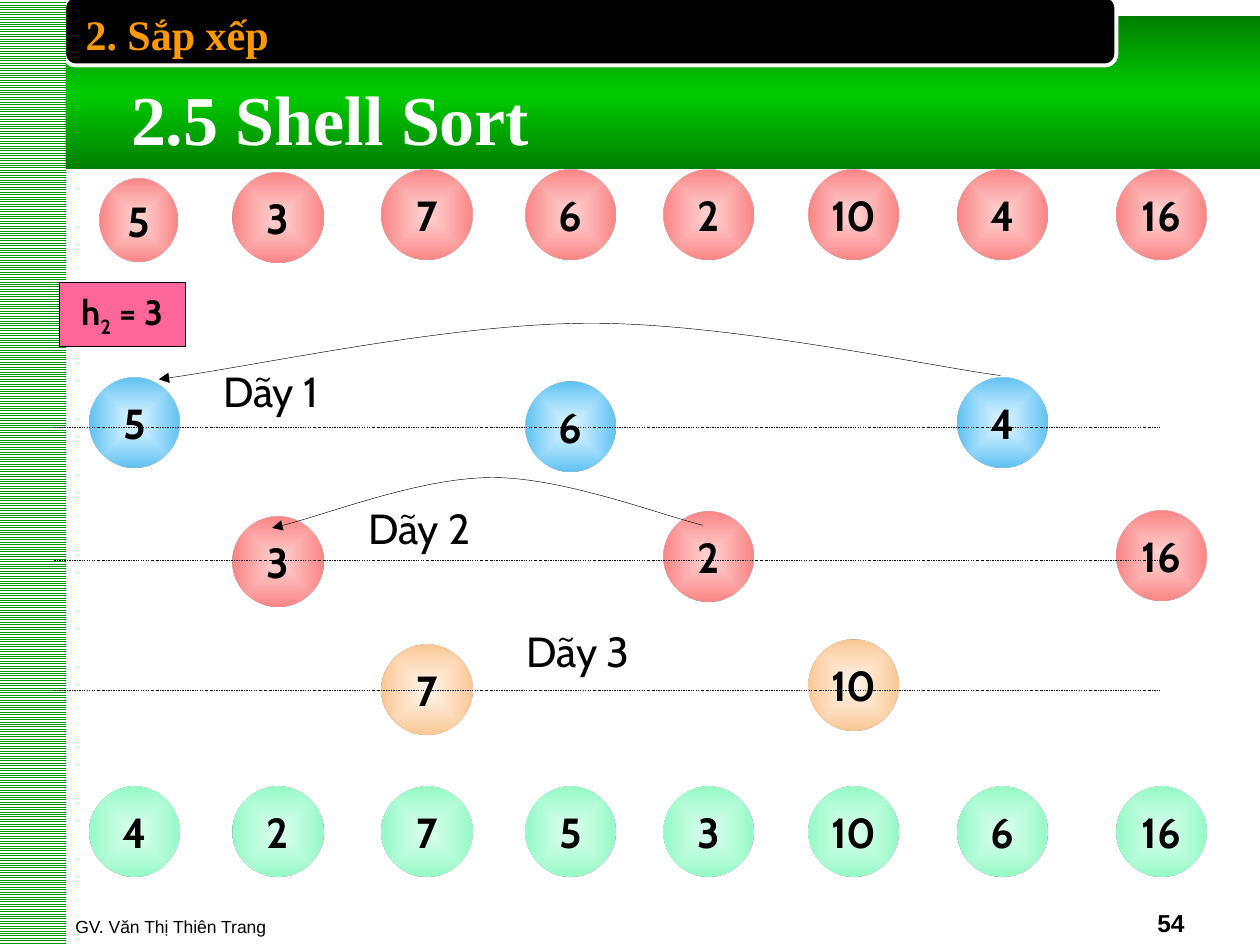
from lxml.etree import SubElement
from pptx import Presentation
from pptx.dml.color import RGBColor
from pptx.enum.dml import MSO_LINE, MSO_PATTERN
from pptx.enum.shapes import MSO_CONNECTOR, MSO_SHAPE
from pptx.enum.text import MSO_ANCHOR, MSO_AUTO_SIZE, PP_ALIGN
from pptx.oxml import parse_xml
from pptx.oxml.ns import nsdecls, qn
from pptx.util import Pt

# Left edges of the eight array positions
COLUMNS = [51.1, 133.2, 218.2, 300.2, 379.4, 462.2, 547.2, 637.9]
DIAMETER = 51.4

# Ball styles: centre colour, centre opacity in percent, edge colour, outline
BLUE = ("66CCFF", 17, "61C2F2", None)
RED = ("FF8989", 35, "FA8686", None)
ORANGE = ("FFCC99", 17, "FAC896", "FFC489")
GREEN = ("99FFCC", 32, "96FAC8", None)

# Each row: style, then (column, value, top) for every ball
SUBSEQUENCES = [
    (BLUE, [(0, 5, 216), (3, 6, 218.2), (6, 4, 216)]),
    (RED, [(1, 3, 295.2), (4, 2, 292.3), (7, 16, 291.6)]),
    (ORANGE, [(2, 7, 368.6), (5, 10, 365.8)]),
]
START_TAIL = [3, 7, 6, 2, 10, 4, 16]
RESULT = [4, 2, 7, 5, 3, 10, 6, 16]

GUIDE_LINES = [244.1, 320.4, 394.6]
LABELS = [("Dãy 1", 116.6, 205.2), ("Dãy 2", 201.6, 283.7), ("Dãy 3", 292.3, 354.2)]

# Swap arrows: a start point, then three points for each Bézier segment
SWAPS = [
    [(571.7, 214.6), (532.1, 209.5), (416.2, 184.3), (336.2, 184.7),
     (256.3, 185), (141.8, 210.2), (90.7, 216.7)],
    [(401.8, 300.2), (380.2, 295.2), (322.6, 272.9), (281.5, 272.9),
     (240.5, 272.9), (182.2, 295.9), (155.5, 301.7)],
]


def color(value):
    return RGBColor.from_string(value)


def set_line(shape, value, width=0.25):
    if value is None:
        shape.line.fill.background()
    else:
        shape.line.color.rgb = color(value)
        shape.line.width = Pt(width)


def set_gradient(shape, stops, direction):
    """Fill with (position, colour, opacity) stops, all in percent."""
    stop_xml = "".join(
        f'<a:gs pos="{position * 1000}"><a:srgbClr val="{value}">'
        f'<a:alpha val="{opacity * 1000}"/></a:srgbClr></a:gs>'
        for position, value, opacity in stops)
    gradient = parse_xml(f'<a:gradFill {nsdecls("a")} rotWithShape="1">'
                         f'<a:gsLst>{stop_xml}</a:gsLst>{direction}</a:gradFill>')
    shape.fill.background()
    properties = shape.element.spPr
    properties.replace(properties.find(qn("a:noFill")), gradient)


def set_text(shape, text, size, font, value="000000", bold=False,
             align=PP_ALIGN.LEFT, anchor=MSO_ANCHOR.TOP, wrap=False):
    frame = shape.text_frame
    frame.text = text
    frame.word_wrap = wrap
    frame.vertical_anchor = anchor
    paragraph = frame.paragraphs[0]
    paragraph.alignment = align
    for run in paragraph.runs:
        format_run(run, size, font, value, bold)


def format_run(run, size, font, value, bold):
    run.font.size = Pt(size)
    run.font.name = font
    run.font.bold = bold
    run.font.color.rgb = color(value)


def add_shape(slide, kind, left, top, width, height):
    shape = slide.shapes.add_shape(kind, Pt(left), Pt(top), Pt(width), Pt(height))
    shape.shadow.inherit = False
    set_line(shape, None)
    return shape


def add_text(slide, box, text, size, font, **options):
    shape = slide.shapes.add_textbox(*(Pt(length) for length in box))
    set_text(shape, text, size, font, **options)
    return shape


def add_ball(slide, style, value, left, top, width=DIAMETER, height=DIAMETER):
    center, opacity, edge, outline = style
    ball = add_shape(slide, MSO_SHAPE.OVAL, left, top, width, height)
    set_gradient(ball, [(0, center, opacity), (100, edge, 100)],
                 '<a:path path="shape"><a:fillToRect l="50000" t="50000" '
                 'r="50000" b="50000"/></a:path>')
    set_line(ball, outline)
    set_text(ball, str(value), 24, "Cabin", bold=True,
             align=PP_ALIGN.CENTER, anchor=MSO_ANCHOR.MIDDLE)


def add_guide_line(slide, y):
    line = slide.shapes.add_connector(MSO_CONNECTOR.STRAIGHT, Pt(31), Pt(y), Pt(663.1), Pt(y))
    set_line(line, "000000")
    line.line.dash_style = MSO_LINE.DASH_DOT
    SubElement(line.element.spPr, qn("a:effectLst"))


def add_swap_arrow(slide, points):
    start, *rest = [(Pt(x), Pt(y)) for x, y in points]
    builder = slide.shapes.build_freeform(*start)
    builder.add_line_segments(rest, close=False)
    arrow = builder.convert_to_shape()
    arrow.shadow.inherit = False
    arrow.fill.background()
    set_line(arrow, "000000")
    SubElement(arrow.line._get_or_add_ln(), qn("a:tailEnd"), type="triangle")
    # Turn every three straight segments into one Bézier curve
    path = arrow.element.spPr.find(".//" + qn("a:path"))
    segments = path.findall(qn("a:lnTo"))
    for index in range(0, len(segments), 3):
        curve = SubElement(path, qn("a:cubicBezTo"))
        for segment in segments[index:index + 3]:
            curve.append(segment[0])
            path.remove(segment)


def add_background(slide):
    banner = add_shape(slide, MSO_SHAPE.RECTANGLE, 0, 9.4, 720.7, 87.1)
    set_gradient(banner, [(0, "008000", 100), (50, "00CC00", 100), (100, "008000", 100)],
                 '<a:lin ang="5400000" scaled="0"/>')
    tab = add_shape(slide, MSO_SHAPE.ROUNDED_RECTANGLE, 36.7, -2.2, 601.2, 39.6)
    tab.fill.solid()
    tab.fill.fore_color.rgb = color("000000")
    set_line(tab, "FFFFFF", 2.25)
    stripes = add_shape(slide, MSO_SHAPE.RECTANGLE, -0.7, 0, 38.2, 540)
    stripes.fill.patterned()
    stripes.fill.pattern = MSO_PATTERN.LIGHT_HORIZONTAL
    stripes.fill.fore_color.rgb = color("009900")
    stripes.fill.back_color.rgb = color("FFFFFF")


def add_title(slide):
    title = slide.shapes.title
    title.left, title.top, title.width, title.height = Pt(67.7), Pt(39.6), Pt(242.6), Pt(55.4)
    set_text(title, "2.5 Shell Sort", 40, "Times New Roman", value="FFFFFF", bold=True)
    title.text_frame.auto_size = MSO_AUTO_SIZE.SHAPE_TO_FIT_TEXT
    # Bring the title in front of the banner
    title.element.getparent().append(title.element)


def add_step_box(slide):
    box = add_shape(slide, MSO_SHAPE.RECTANGLE, 33.8, 161.3, 72, 36.7)
    box.fill.solid()
    box.fill.fore_color.rgb = color("FF6699")
    set_line(box, "000000")
    set_text(box, "h", 20, "Cabin", bold=True,
             align=PP_ALIGN.CENTER, anchor=MSO_ANCHOR.MIDDLE)
    for text, baseline in (("2", -25000), (" = 3", 0)):
        run = box.text_frame.paragraphs[0].add_run()
        run.text = text
        format_run(run, 20, "Cabin", "000000", True)
        run.font._element.set("baseline", str(baseline))


def main():
    presentation = Presentation()
    presentation.slide_width, presentation.slide_height = Pt(720), Pt(540)
    slide = presentation.slides.add_slide(presentation.slide_layouts[5])

    # Banner, footer and title
    add_background(slide)
    add_text(slide, (36, 503.3, 437.8, 36), "GV. Văn Thị Thiên Trang", 10, "Arial",
             anchor=MSO_ANCHOR.BOTTOM, wrap=True)
    add_text(slide, (516.2, 503.3, 167.8, 36), "54", 14, "Arial", bold=True,
             align=PP_ALIGN.RIGHT, anchor=MSO_ANCHOR.BOTTOM, wrap=True)
    add_title(slide)

    # Subsequences with their guide lines, labels and swaps
    for style, balls in SUBSEQUENCES:
        for column, value, top in balls:
            add_ball(slide, style, value, COLUMNS[column], top)
    for y in GUIDE_LINES:
        add_guide_line(slide, y)
    for text, left, top in LABELS:
        add_text(slide, (left, top, 76.3, 36), text, 24, "Cabin", align=PP_ALIGN.CENTER)
    add_step_box(slide)
    for points in SWAPS:
        add_swap_arrow(slide, points)

    # Array before the pass; its first ball is smaller
    add_ball(slide, RED, 5, 56.9, 102.2, 44.6, 47.5)
    for index, (left, value) in enumerate(zip(COLUMNS[1:], START_TAIL)):
        add_ball(slide, RED, value, left, 98.6 if index == 0 else 97.2)

    # Array after the pass
    for left, value in zip(COLUMNS, RESULT):
        add_ball(slide, GREEN, value, left, 449.3)

    # Section name
    add_text(slide, (41.8, 1.4, 552.2, 36), "2. Sắp xếp", 24, "Times New Roman",
             value="FF9900", bold=True, wrap=True)
    presentation.save("out.pptx")


if __name__ == "__main__":
    main()
